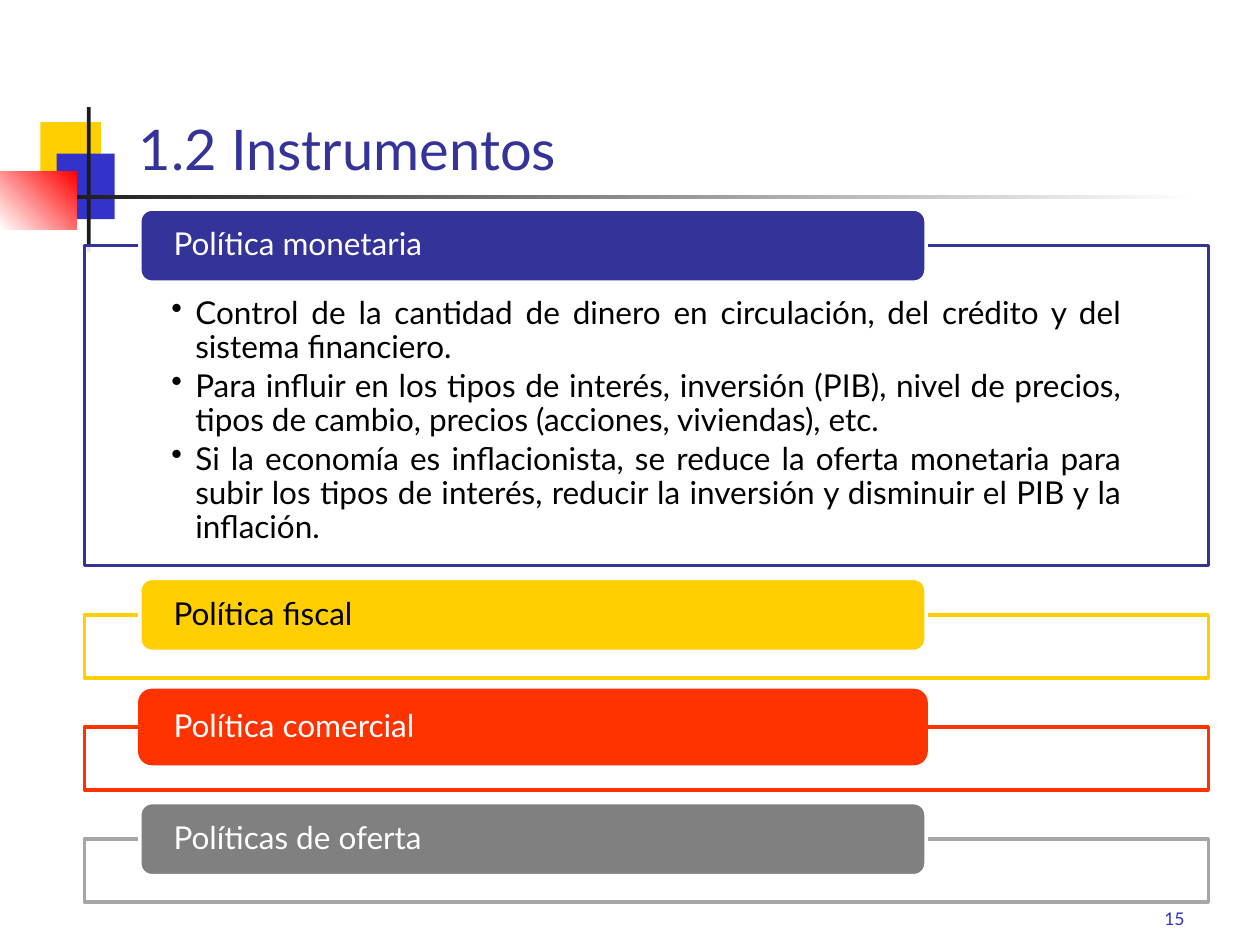
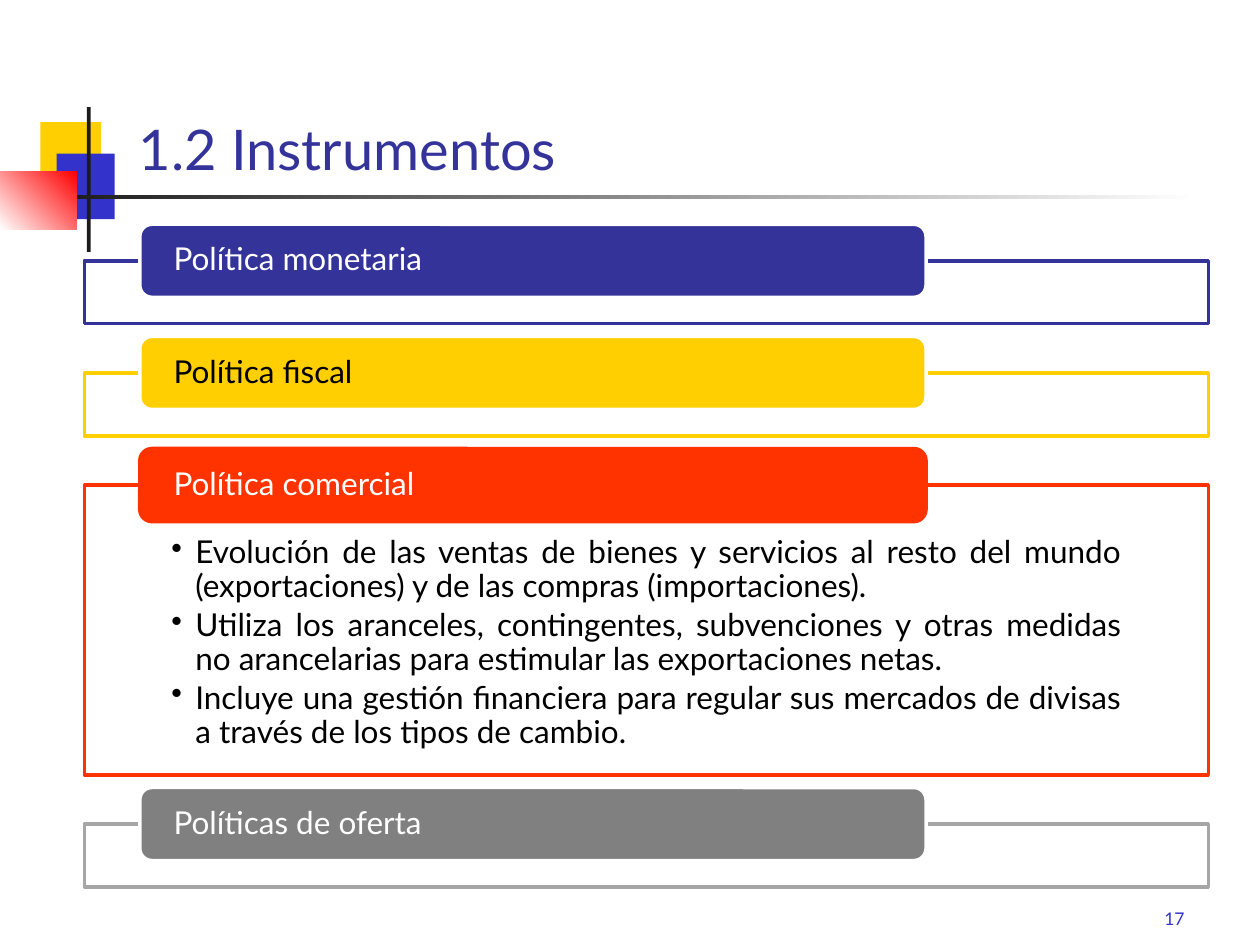
from dataclasses import dataclass

from lxml import etree
from pptx import Presentation
from pptx.dml.color import RGBColor
from pptx.enum.shapes import MSO_SHAPE
from pptx.enum.text import MSO_ANCHOR, MSO_AUTO_SIZE, PP_ALIGN
from pptx.oxml.ns import qn
from pptx.util import Inches, Pt

RECTANGLE, ROUNDED = MSO_SHAPE.RECTANGLE, MSO_SHAPE.ROUNDED_RECTANGLE
TOP, MIDDLE, BOTTOM = MSO_ANCHOR.TOP, MSO_ANCHOR.MIDDLE, MSO_ANCHOR.BOTTOM
LEFT, RIGHT, JUSTIFY = PP_ALIGN.LEFT, PP_ALIGN.RIGHT, PP_ALIGN.JUSTIFY
TITLE_ONLY = 5


@dataclass(frozen=True)
class Theme:
    font: str = "Lato"
    title_size: int = 32
    text_size: int = 18
    number_size: int = 10
    white: str = "FFFFFF"
    black: str = "000000"
    ink: str = "1C1C1C"
    navy: str = "333399"
    blue: str = "3333CC"
    yellow: str = "FFCF01"
    red: str = "FF0000"
    orange: str = "FF3300"
    gray: str = "808080"
    light_gray: str = "A6A6A6"


THEME = Theme()


@dataclass(frozen=True)
class Policy:
    name: str
    fill: str
    frame: str
    label_line: str = THEME.white
    text: str = THEME.white


POLICIES = [
    Policy("Política monetaria", THEME.navy, THEME.navy),
    Policy("Política fiscal", THEME.yellow, THEME.yellow, text=THEME.black),
    Policy("Política comercial", THEME.orange, THEME.orange, THEME.orange),
    Policy("Políticas de oferta", THEME.gray, THEME.light_gray),
]

MONETARY_POINTS = [
    "Control de la cantidad de dinero en circulación, del crédito y del sistema financiero.",
    "Para influir en los tipos de interés, inversión (PIB), nivel de precios, tipos de cambio, "
    "precios (acciones, viviendas), etc.",
    "Si la economía es inflacionista, se reduce la oferta monetaria para subir los tipos de "
    "interés, reducir la inversión y disminuir el PIB y la inflación.",
]
TRADE_POINTS = [
    "Evolución de las ventas de bienes y servicios al resto del mundo (exportaciones) y de las "
    "compras (importaciones).",
    "Utiliza los aranceles, contingentes, subvenciones y otras medidas no arancelarias para "
    "estimular las exportaciones netas.",
    "Incluye una gestión financiera para regular sus mercados de divisas a través de los tipos "
    "de cambio.",
]

FRAME_LEFT, FRAME_WIDTH, CLOSED_HEIGHT = 0.67, 8.92, 0.5
FRAME_GAP = 0.39
LABEL_LEFT, LABEL_WIDTH, LABEL_HEIGHT = 1.11, 6.24, 0.58


def color(value):
    return RGBColor.from_string(value)


def add_box(slide, kind, place, fill, line=None):
    shape = slide.shapes.add_shape(kind, *map(Inches, place))
    shape.shadow.inherit = False
    shape.fill.solid()
    shape.fill.fore_color.rgb = color(fill)
    if line:
        shape.line.color.rgb = color(line)
        shape.line.width = Pt(2)
    else:
        shape.line.fill.background()
    return shape


def set_gradient(shape, start, end, angle):
    shape.fill.gradient()
    shape.fill.gradient_angle = angle
    for stop, value in zip(shape.fill.gradient_stops, (start, end)):
        stop.color.rgb = color(value)


def set_opacity(shape, percent):
    rgb = shape.element.spPr.find(qn("a:solidFill"))[0]
    etree.SubElement(rgb, qn("a:alpha"), val=str(percent * 1000))


def set_frame(shape, anchor, insets=(0.1, 0.05, 0.1, 0.05)):
    """Set anchor and insets (left, top, right, bottom); return the text frame."""
    frame = shape.text_frame
    frame.word_wrap = True
    frame.auto_size = MSO_AUTO_SIZE.NONE
    frame.vertical_anchor = anchor
    (frame.margin_left, frame.margin_top,
     frame.margin_right, frame.margin_bottom) = map(Inches, insets)
    return frame


def write(paragraph, text, size, text_color, align=LEFT, spacing=0.9):
    paragraph.alignment = align
    paragraph.line_spacing = spacing
    run = paragraph.add_run()
    run.text = text
    run.font.name = THEME.font
    run.font.size = Pt(size)
    run.font.color.rgb = color(text_color)


def add_bullet(paragraph):
    properties = paragraph._p.get_or_add_pPr()
    properties.set("marL", str(Inches(0.19)))
    properties.set("indent", str(-Inches(0.19)))
    etree.SubElement(properties, qn("a:buChar"), char="•")


def write_points(shape, points):
    frame = set_frame(shape, TOP, (0.69, 0.41, 0.69, 0.14))
    for index, point in enumerate(points):
        paragraph = frame.add_paragraph() if index else frame.paragraphs[0]
        add_bullet(paragraph)
        paragraph.space_after = Pt(2.7)
        write(paragraph, point, THEME.text_size, THEME.black, JUSTIFY)


def add_shared_marks(slide):
    """Draw the corner squares and rules, then move them to the slide's layout."""
    marks = [add_box(slide, RECTANGLE, place, fill) for place, fill in [
        ((0.32, 0.97, 0.48, 0.52), THEME.yellow),
        ((0.45, 1.22, 0.46, 0.52), THEME.blue),
        ((0.69, 0.85, 0.03, 1.15), THEME.ink),
        ((0.5, 1.55, 9, 0.03), THEME.ink),
        ((0, 1.36, 0.61, 0.46), THEME.red),
    ]]
    set_gradient(marks[3], THEME.ink, THEME.white, 0)
    set_gradient(marks[4], THEME.white, THEME.red, 45)
    for mark in marks:
        slide.slide_layout.shapes.element.append(mark.element)


def add_title(slide, text):
    title = slide.shapes.title
    title.left, title.top, title.width, title.height = map(Inches, (1, 0.33, 8.5, 1.17))
    frame = set_frame(title, BOTTOM)
    write(frame.paragraphs[0], text, THEME.title_size, THEME.navy)


def add_slide_number(slide, number):
    box = slide.shapes.add_textbox(*map(Inches, (7.42, 6.92, 2.08, 0.5)))
    frame = set_frame(box, BOTTOM)
    write(frame.paragraphs[0], str(number), THEME.number_size, THEME.blue, RIGHT, 1.0)


def add_policy(slide, policy, top, height, points):
    frame = add_box(slide, RECTANGLE, (FRAME_LEFT, top, FRAME_WIDTH, height),
                    THEME.white, policy.frame)
    set_opacity(frame, 90)
    if points:
        write_points(frame, points)
    label_top = top - LABEL_HEIGHT / 2
    label = add_box(slide, ROUNDED, (LABEL_LEFT, label_top, LABEL_WIDTH, LABEL_HEIGHT),
                    policy.fill, policy.label_line)
    text_frame = set_frame(label, MIDDLE, (0.24, 0, 0.24, 0))
    write(text_frame.paragraphs[0], policy.name, THEME.text_size, policy.text)


def add_policy_list(slide, top, open_policy, open_height, points):
    """Stack all policies, with only the one named open_policy showing its points."""
    for policy in POLICIES:
        is_open = policy.name == open_policy
        height = open_height if is_open else CLOSED_HEIGHT
        add_policy(slide, policy, top, height, points if is_open else [])
        top += height + FRAME_GAP


def main():
    presentation = Presentation()
    presentation.slide_width, presentation.slide_height = Inches(10), Inches(7.5)
    layout = presentation.slide_layouts[TITLE_ONLY]
    contents = [
        (15, 1.95, "Política monetaria", 2.54, MONETARY_POINTS),
        (17, 2.07, "Política comercial", 2.3, TRADE_POINTS),
    ]
    for index, (number, *policy_list) in enumerate(contents):
        slide = presentation.slides.add_slide(layout)
        if index == 0:
            add_shared_marks(slide)
        add_slide_number(slide, number)
        add_title(slide, "1.2 Instrumentos")
        add_policy_list(slide, *policy_list)
    presentation.save("out.pptx")


if __name__ == "__main__":
    main()
